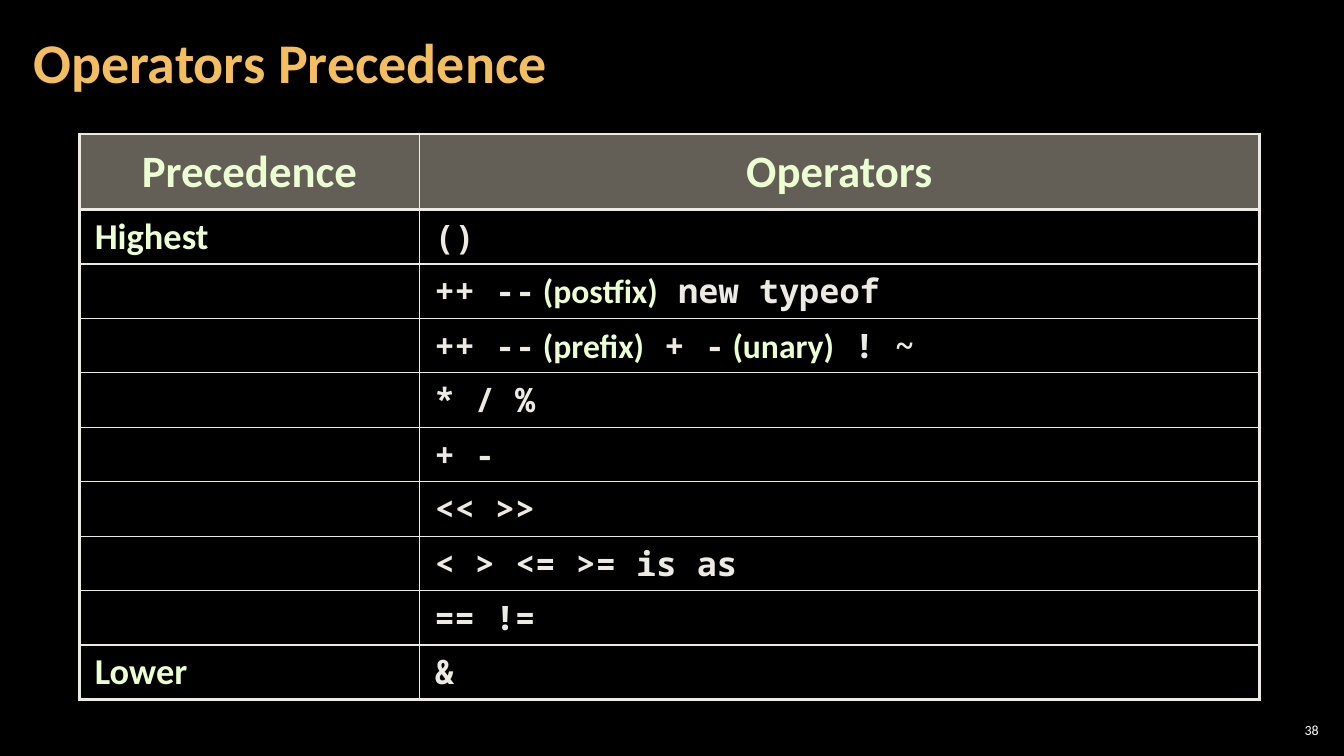
from lxml.etree import SubElement as Sub
from pptx import Presentation
from pptx.dml.color import RGBColor as RGB
from pptx.enum.text import MSO_ANCHOR as Anchor, PP_ALIGN as Align
from pptx.oxml.ns import qn
from pptx.util import Inches, Pt

SANS, MONO = "Calibri", "Noto Sans Mono"
BLACK, GOLD, MINT, IVORY, TAUPE = "000000", "F3BE60", "EBFFD2", "ECEAE3", "C7BFAC"
THICK, THIN = 2.25, 1

# Operator cells alternate between code and plain notes
LEVELS = [
    ("Highest", ["()"]),
    ("", ["++ --", " (postfix)", " new typeof"]),
    ("", ["++ --", " (prefix)", " + -", " (unary)", " ! ~"]),
    ("", ["* / %"]),
    ("", ["+ -"]),
    ("", ["<< >>"]),
    ("", ["< > <= >= is as"]),
    ("", ["== !="]),
    ("Lower", ["&"]),
]


def paint(target, color):
    """Give a font or a fill one solid colour."""
    fill = getattr(target, "fill", target)
    fill.solid()
    fill.fore_color.rgb = RGB.from_string(color)


def style(font, size, color, name=SANS, bold=True):
    font.name, font.size, font.bold = name, Pt(size), bold
    paint(font, color)


def pad(box, side, end):
    box.margin_left = box.margin_right = Inches(side)
    box.margin_top = box.margin_bottom = Inches(end)


def add_title(slide, text):
    title = slide.shapes.title
    title.left, title.top = Inches(0.21), Inches(0.04)
    title.width, title.height = Inches(10.47), Inches(1.21)
    frame = title.text_frame
    frame.text, frame.vertical_anchor = text, Anchor.MIDDLE
    pad(frame, 0.12, 0.04)
    para = frame.paragraphs[0]
    para.alignment, para.line_spacing = Align.LEFT, 0.9
    style(para.font, 40, GOLD)


def add_number(slide, text):
    box = slide.shapes.add_textbox(Inches(12.65), Inches(7.14), Inches(0.47), Inches(0.21))
    frame = box.text_frame
    frame.text, frame.word_wrap = text, True
    frame.vertical_anchor = Anchor.MIDDLE
    pad(frame, 0.04, 0.04)
    para = frame.paragraphs[0]
    para.alignment = Align.RIGHT
    style(para.font, 10, "FFFFFF", bold=False)


def set_edges(cell, row, col):
    last = len(LEVELS)
    widths = {
        "a:lnL": THIN if col else THICK,
        "a:lnR": THICK if col else THIN,
        "a:lnT": THICK if row <= 2 else THIN,
        "a:lnB": THICK if row <= 1 or row == last else THIN,
    }
    props = cell._tc.get_or_add_tcPr()
    for tag, width in widths.items():
        line = Sub(props, qn(tag), w=str(Pt(width)))
        Sub(Sub(line, qn("a:solidFill")), qn("a:srgbClr"), val=IVORY)


def fill_head(cell, text):
    paint(cell.fill, TAUPE)
    tone = cell._tc.tcPr.find(qn("a:solidFill"))[0]
    Sub(tone, qn("a:alpha"), val="50000")
    fill_label(cell, text, 32)
    cell.text_frame.paragraphs[0].alignment = Align.CENTER


def fill_label(cell, text, size=26):
    cell.text, cell.vertical_anchor = text, Anchor.MIDDLE
    style(cell.text_frame.paragraphs[0].font, size, MINT)


def fill_code(cell, parts):
    para = cell.text_frame.paragraphs[0]
    style(para.font, 24, IVORY, MONO)
    for i, part in enumerate(parts):
        run = para.add_run()
        run.text = part
        if i % 2:
            style(run.font, 24, MINT)


def add_grid(slide):
    count = len(LEVELS) + 1
    frame = slide.shapes.add_table(count, 2, Inches(0.79), Inches(1.33),
                                   Inches(11.7), Inches(5.61))
    table = frame.table
    table.horz_banding = False
    table.columns[0].width, table.columns[1].width = Inches(3.37), Inches(8.33)
    for r, row in enumerate(table.rows):
        row.height = Inches(0.54 if r else 0.75)
        for c, cell in enumerate(row.cells):
            set_edges(cell, r, c)
            pad(cell, 0.15, 0.05)
            cell.fill.background()
            cell.text_frame.paragraphs[0].line_spacing = 0.95

    # Header row, then one row per level
    fill_head(table.cell(0, 0), "Precedence")
    fill_head(table.cell(0, 1), "Operators")
    for r, (label, parts) in enumerate(LEVELS, 1):
        if label:
            fill_label(table.cell(r, 0), label)
        fill_code(table.cell(r, 1), parts)


def main():
    deck = Presentation()
    deck.slide_width, deck.slide_height = Inches(13.33), Inches(7.5)
    slide = deck.slides.add_slide(deck.slide_layouts[5])
    paint(slide.background.fill, BLACK)
    add_number(slide, "38")
    add_grid(slide)
    add_title(slide, "Operators Precedence")
    deck.save("out.pptx")


if __name__ == "__main__":
    main()
